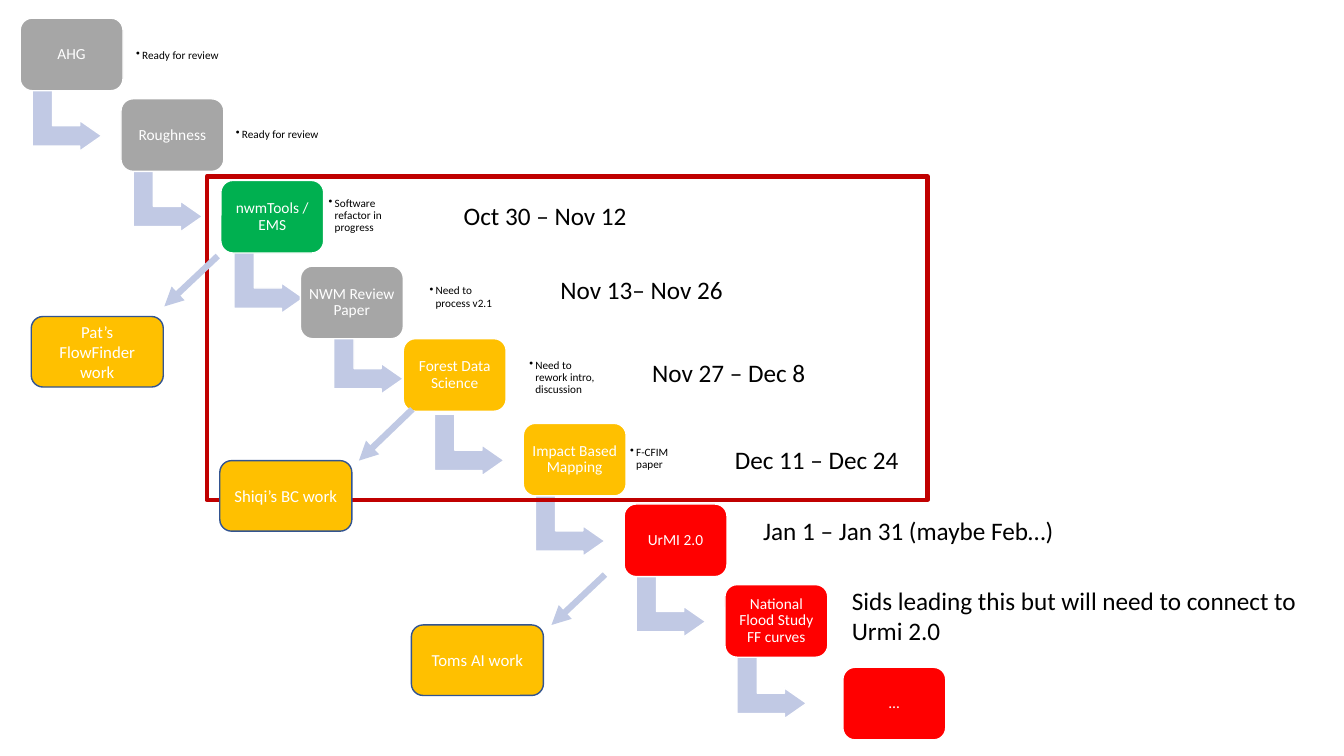
from dataclasses import dataclass

import lxml.etree
import pptx
import pptx.dml.color
import pptx.enum.shapes
import pptx.enum.text
import pptx.oxml.ns
import pptx.util

EMU_PER_PX = 9144  # 100 px to the inch
FONT = "Calibri"
GREY, GREEN, AMBER, RED = "A6A6A6", "00B050", "FFC000", "FF0000"
WHITE, BLACK, NAVY, FRAME_RED = "FFFFFF", "000000", "325491", "C00000"
STEP_ARROW, BRANCH_ARROW = "C1C9E4", "C0C9E4"
STEP_WIDTH, STEP_HEIGHT = 102, 72
SIDE_WIDTH, SIDE_HEIGHT = 131, 70
BULLET_INDENT = 6

SHAPE = pptx.enum.shapes.MSO_SHAPE
ALIGN = pptx.enum.text.PP_ALIGN


@dataclass(frozen=True)
class Step:
    label: str
    left: int
    top: int
    color: str


@dataclass(frozen=True)
class Note:
    text: str
    left: int
    top: int
    width: int = 74
    height: int = 58


@dataclass(frozen=True)
class Schedule:
    text: str
    left: int
    top: int
    width: int = 269
    height: int = 40


@dataclass(frozen=True)
class SideWork:
    label: str
    left: int
    top: int
    arrow_start: tuple[int, int]
    arrow_end: tuple[int, int]


STEPS = [
    Step("AHG", 20, 18, GREY),
    Step("Roughness", 120, 98, GREY),
    Step("nwmTools / EMS", 219, 179, GREEN),
    Step("NWM Review Paper", 298, 264, GREY),
    Step("Forest Data Science", 400, 336, AMBER),
    Step("Impact Based Mapping", 519, 420, AMBER),
    Step("UrMI 2.0", 619, 500, RED),
    Step("National Flood Study FF curves", 719, 580, RED),
    Step("…", 836, 662, RED),
]
NOTES = [
    Note("Ready for review", 131, 26, 138),
    Note("Ready for review", 230, 105, 145),
    Note("Software refactor in progress", 322, 185),
    Note("Need to process v2.1", 422, 266),
    Note("Need to rework intro, discussion", 521, 346),
    Note("F-CFIM paper", 621, 426),
]
SCHEDULES = [
    Schedule("Oct 30 – Nov 12", 450, 194),
    Schedule("Nov 13– Nov 26", 546, 267),
    Schedule("Nov 27 – Dec 8", 637, 350),
    Schedule("Dec 11 – Dec 24", 719, 436),
    Schedule("Jan 1 – Jan 31 (maybe Feb…)", 747, 506, 381),
    Schedule("Sids leading this but will need to connect to Urmi 2.0", 835, 576, 484, 71),
]
SIDE_WORKS = [
    SideWork("Shiqi’s BC work", 218, 457, (409, 406), (356, 457)),
    SideWork("Pat’s FlowFinder work", 31, 314, (216, 254), (163, 304)),
    SideWork("Toms AI work", 408, 620, (600, 570), (547, 620)),
]


def px(length: int) -> pptx.util.Emu:
    return pptx.util.Emu(length * EMU_PER_PX)


def rgb(color: str) -> pptx.dml.color.RGBColor:
    return pptx.dml.color.RGBColor.from_string(color)


def add_box(slide, kind, left: int, top: int, width: int, height: int,
            fill: str | None, line: str, line_width: int = 1):
    box = slide.shapes.add_shape(kind, px(left), px(top), px(width), px(height))
    box.shadow.inherit = False
    if fill is None:
        box.fill.background()
    else:
        box.fill.solid()
        box.fill.fore_color.rgb = rgb(fill)
    box.line.color.rgb = rgb(line)
    box.line.width = pptx.util.Pt(line_width)
    return box


def write(shape, text: str, size: int, color: str, align=ALIGN.LEFT,
          inset: int | None = None, spacing: float = 1.0, middle: bool = True):
    """Fill the shape with one wrapped paragraph and return that paragraph."""
    frame = shape.text_frame
    frame.word_wrap = True
    anchors = pptx.enum.text.MSO_ANCHOR
    frame.vertical_anchor = anchors.MIDDLE if middle else anchors.TOP
    if inset is not None:
        frame.margin_left = frame.margin_right = px(inset)
        frame.margin_top = frame.margin_bottom = px(inset)
    paragraph = frame.paragraphs[0]
    paragraph.alignment = align
    paragraph.line_spacing = spacing
    run = paragraph.add_run()
    run.text = text
    run.font.name = FONT
    run.font.size = pptx.util.Pt(size)
    run.font.color.rgb = rgb(color)
    return paragraph


def add_text_box(slide, place: Note | Schedule):
    return slide.shapes.add_textbox(
        px(place.left), px(place.top), px(place.width), px(place.height))


def add_step_arrow(slide, index: int) -> None:
    arrow = add_box(slide, SHAPE.BENT_UP_ARROW, round(36 + 99.8 * index),
                    round(85 + 80.4 * index), 61, 69, STEP_ARROW, WHITE)
    arrow.rotation = 90
    for position, value in enumerate((0.33, 0.25, 0.36)):
        arrow.adjustments[position] = value


def add_step(slide, step: Step) -> None:
    box = add_box(slide, SHAPE.ROUNDED_RECTANGLE, step.left, step.top,
                  STEP_WIDTH, STEP_HEIGHT, step.color, WHITE)
    write(box, step.label, 11, WHITE, ALIGN.CENTER, inset=5, spacing=0.9)


def add_note(slide, note: Note) -> None:
    paragraph = write(add_text_box(slide, note), note.text, 8, BLACK, inset=4, spacing=0.9)
    properties = paragraph._p.get_or_add_pPr()
    properties.set("marL", str(px(BULLET_INDENT)))
    properties.set("indent", str(px(-BULLET_INDENT)))
    bullet = lxml.etree.SubElement(properties, pptx.oxml.ns.qn("a:buChar"))
    bullet.set("char", "•")


def add_schedule(slide, schedule: Schedule) -> None:
    box = add_text_box(slide, schedule)
    write(box, schedule.text, 18, BLACK, middle=False)
    box.text_frame.auto_size = pptx.enum.text.MSO_AUTO_SIZE.SHAPE_TO_FIT_TEXT


def add_side_work(slide, work: SideWork) -> None:
    box = add_box(slide, SHAPE.ROUNDED_RECTANGLE, work.left, work.top,
                  SIDE_WIDTH, SIDE_HEIGHT, AMBER, NAVY)
    write(box, work.label, 12, WHITE, ALIGN.CENTER)
    branch = slide.shapes.add_connector(
        pptx.enum.shapes.MSO_CONNECTOR.STRAIGHT,
        *(px(value) for value in work.arrow_start + work.arrow_end))
    branch.line.color.rgb = rgb(BRANCH_ARROW)
    branch.line.width = pptx.util.Pt(4.5)
    head = lxml.etree.SubElement(branch.line._get_or_add_ln(), pptx.oxml.ns.qn("a:tailEnd"))
    head.set("type", "triangle")
    lxml.etree.SubElement(branch._element.spPr, pptx.oxml.ns.qn("a:effectLst"))


def main() -> None:
    presentation = pptx.Presentation()
    presentation.slide_width, presentation.slide_height = px(1333), px(750)
    slide = presentation.slides.add_slide(presentation.slide_layouts[6])
    for index in range(len(STEPS) - 1):
        add_step_arrow(slide, index)
    for step in STEPS:
        add_step(slide, step)
    for note in NOTES:
        add_note(slide, note)
    for schedule in SCHEDULES:
        add_schedule(slide, schedule)
    add_box(slide, SHAPE.RECTANGLE, 205, 175, 715, 321, None, FRAME_RED, 3)
    for work in SIDE_WORKS:
        add_side_work(slide, work)
    presentation.save("out.pptx")


if __name__ == "__main__":
    main()
